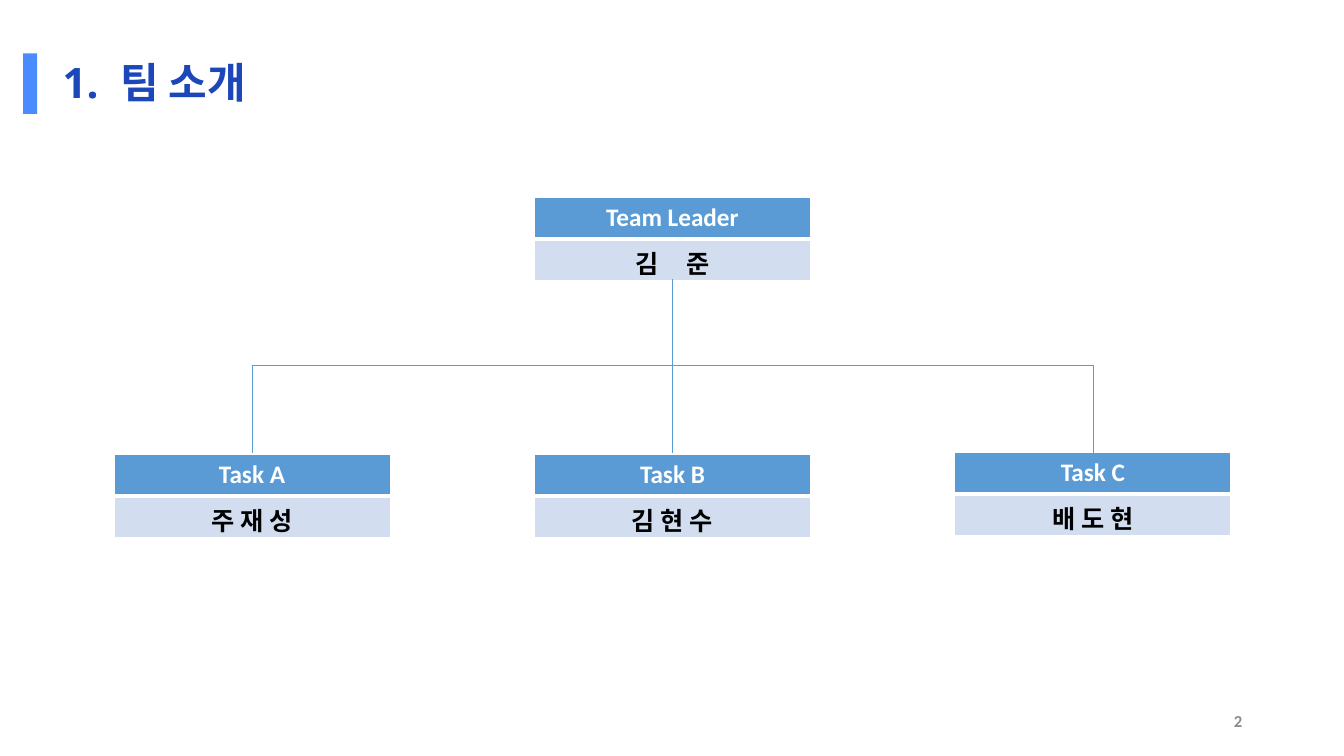
import pptx
import pptx.util
import pptx.dml.color
import pptx.enum.shapes
import pptx.enum.text
import pptx.oxml
import pptx.oxml.ns
import lxml.etree

Inches = pptx.util.Inches
Pt = pptx.util.Pt
ALIGN = pptx.enum.text.PP_ALIGN
MIDDLE = pptx.enum.text.MSO_ANCHOR.MIDDLE
COLOURS = {
    "accent": "4A8CFF", "title": "1C47BA", "number": "8C8C8C", "header": "5B9BD5",
    "member": "D2DEEF", "white": "FFFFFF", "black": "000000",
}
CARD_WIDTH = 2.74
ROW_HEIGHT = 0.41


class TeamSlide:
    """Holds the style and the current slide, and adds each kind of element."""

    def __init__(self, deck):
        self.slide = deck.slides.add_slide(deck.slide_layouts[5])
        self.shapes = self.slide.shapes

    def colour(self, name):
        return pptx.dml.color.RGBColor.from_string(COLOURS[name])

    def add_text(self, frame, runs, size, font, colour, align):
        frame.vertical_anchor = MIDDLE
        paragraph = frame.paragraphs[0]
        paragraph.alignment = align
        for text, spacing in runs:
            run = paragraph.add_run()
            run.text = text
            run.font.size = Pt(size)
            run.font.name = font
            run.font.bold = True
            run.font.color.rgb = self.colour(colour)
            if spacing:
                run.font._element.set("spc", str(spacing * 100))
        return paragraph

    def bar(self, left, top, width, height):
        accent = self.shapes.add_shape(
            pptx.enum.shapes.MSO_SHAPE.RECTANGLE,
            Inches(left), Inches(top), Inches(width), Inches(height))
        accent.shadow.inherit = False
        accent.fill.solid()
        accent.fill.fore_color.rgb = self.colour("accent")
        accent.line.fill.background()

    def title(self, runs):
        heading = self.shapes.title
        heading.left, heading.top = Inches(0.52), Inches(0.54)
        heading.width, heading.height = Inches(11.9), Inches(0.6)
        paragraph = self.add_text(heading.text_frame, runs, 30, "Noto Sans", "title", ALIGN.LEFT)
        paragraph.line_spacing = 0.9

    def page_number(self, number):
        footer = self.shapes.add_textbox(Inches(9.42), Inches(6.95), Inches(3), Inches(0.4))
        footer.text_frame.word_wrap = True
        self.add_text(footer.text_frame, [(number, 0)], 12, "Calibri", "number", ALIGN.RIGHT)

    def border(self, cell, bottom):
        properties = cell._tc.get_or_add_tcPr()
        for position, side in enumerate(("lnL", "lnR", "lnT", "lnB")):
            width = Pt(bottom if side == "lnB" else 1)
            edge = pptx.oxml.parse_xml(
                f'<a:{side} {pptx.oxml.ns.nsdecls("a")} w="{width}"><a:solidFill>'
                f'<a:srgbClr val="{COLOURS["white"]}"/></a:solidFill></a:{side}>')
            properties.insert(position, edge)

    def card(self, centre, top, role, member):
        table = self.shapes.add_table(
            2, 1, Inches(centre - CARD_WIDTH / 2), Inches(top),
            Inches(CARD_WIDTH), Inches(2 * ROW_HEIGHT)).table
        rows = (([(role, 0)], "header", "white", 3), (member, "member", "black", 1))
        for index, (runs, fill, text_colour, bottom) in enumerate(rows):
            table.rows[index].height = Inches(ROW_HEIGHT)
            cell = table.cell(index, 0)
            cell.fill.solid()
            cell.fill.fore_color.rgb = self.colour(fill)
            self.border(cell, bottom)
            self.add_text(cell.text_frame, runs, 18, "Calibri", text_colour, ALIGN.CENTER)
            cell.vertical_anchor = pptx.enum.text.MSO_ANCHOR.TOP

    def line(self, x1, y1, x2, y2):
        branch = self.shapes.add_connector(
            pptx.enum.shapes.MSO_CONNECTOR.STRAIGHT,
            Inches(x1), Inches(y1), Inches(x2), Inches(y2))
        branch.line.color.rgb = self.colour("header")
        branch.line.width = Pt(0.5)
        lxml.etree.SubElement(branch._element.spPr, pptx.oxml.ns.qn("a:effectLst"))


def main():
    deck = pptx.Presentation()
    deck.slide_width, deck.slide_height = Inches(13.33), Inches(7.5)
    team = TeamSlide(deck)
    team.bar(0.23, 0.53, 0.14, 0.6)
    team.title([("1.", 0), (" ", 8), ("팀 소개", 0)])
    team.page_number("2")

    middle, pitch, branch_top = 6.67, 4.17, 3.62
    team.card(middle, 1.96, "Team Leader", [("김", 0), (" ", 16), ("준", 0)])
    tasks = (("Task A", "주 재 성", 4.51), ("Task B", "김 현 수", 4.51), ("Task C", "배 도 현", 4.49))
    team.line(middle, 2.77, middle, branch_top)
    team.line(middle - pitch, branch_top, middle + pitch, branch_top)
    for column, (task, member, top) in enumerate(tasks):
        centre = middle + (column - 1) * pitch
        team.card(centre, top, task, [(member, 0)])
        team.line(centre, branch_top, centre, 4.49)
    deck.save("out.pptx")


if __name__ == "__main__":
    main()
